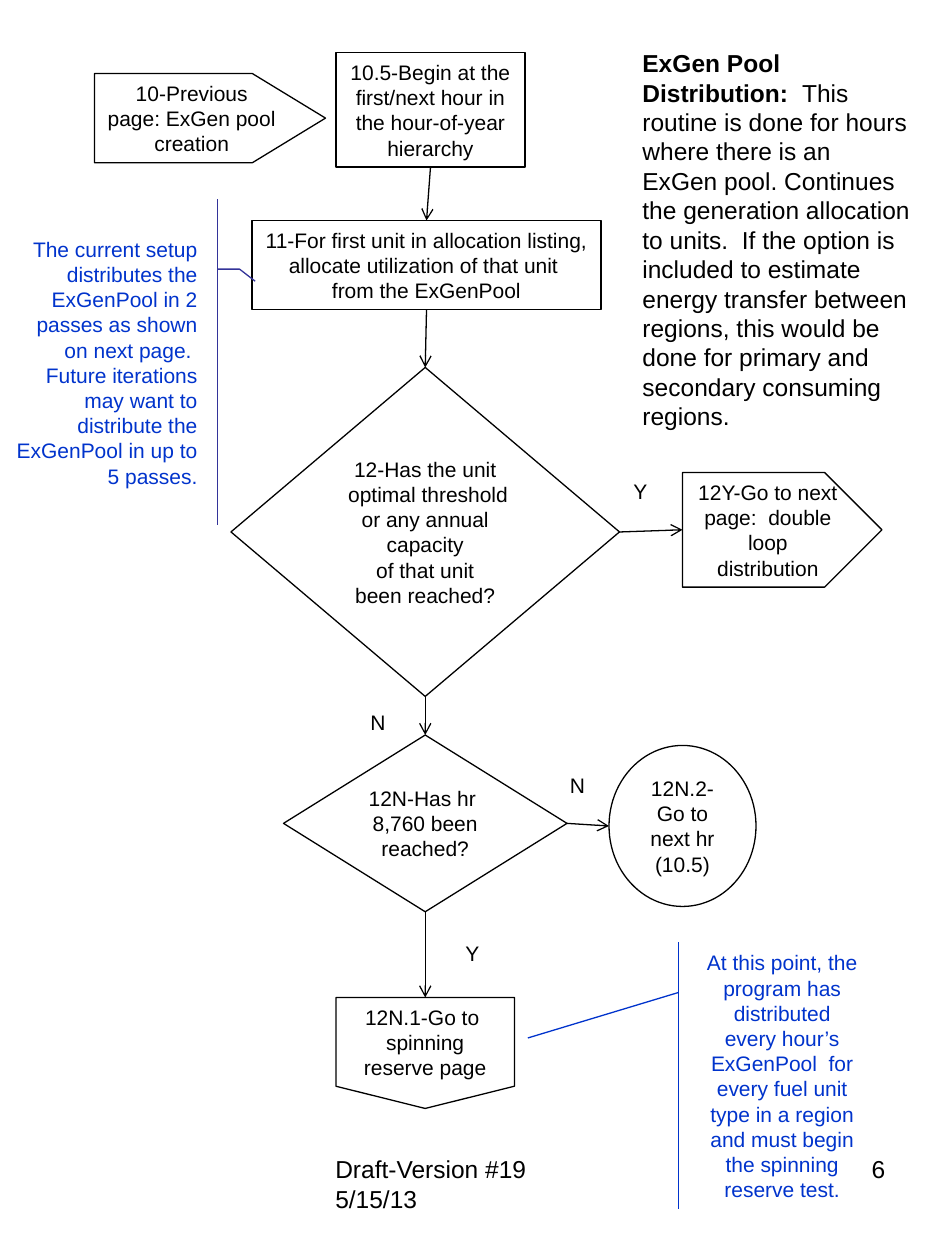
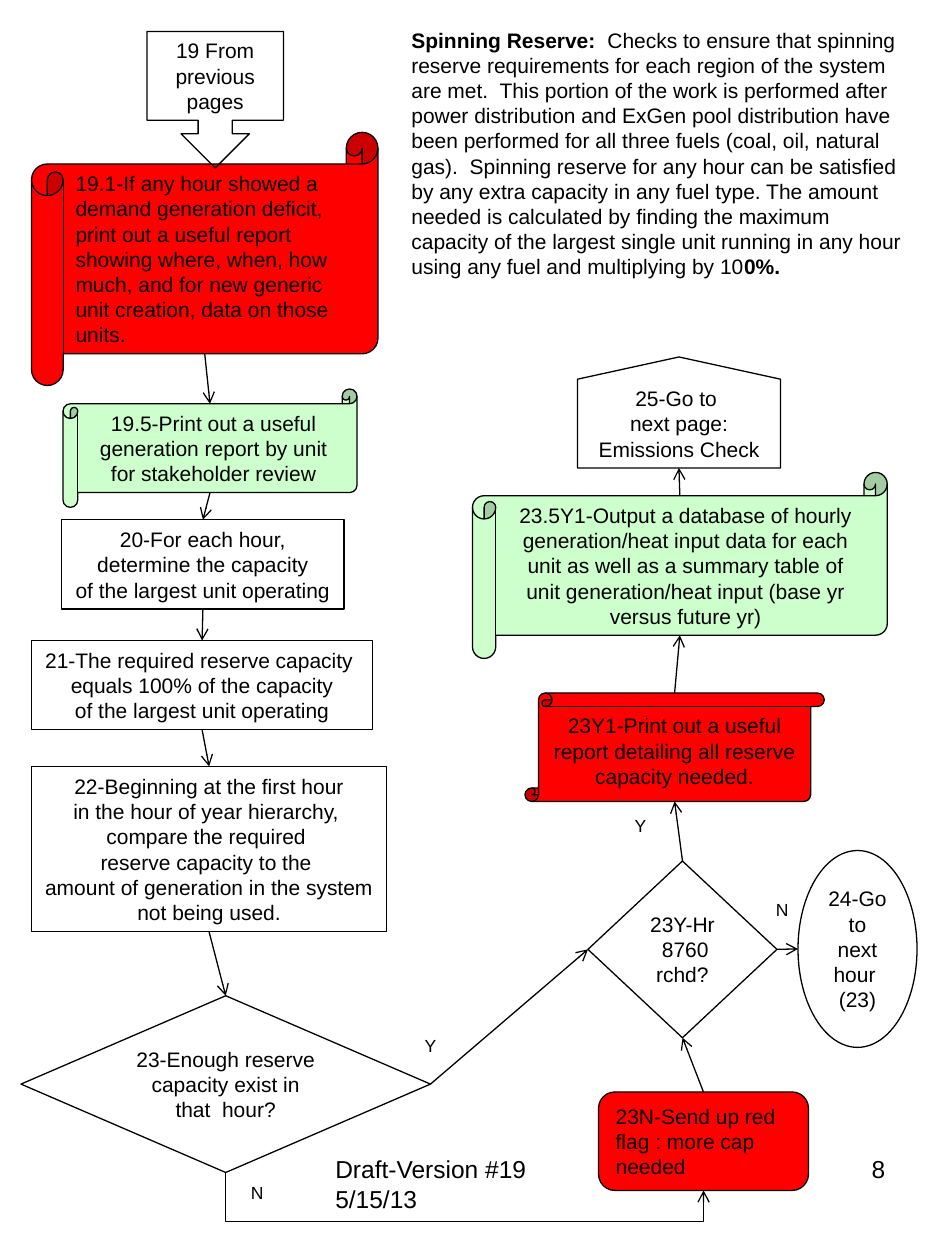
from lxml import etree
from pptx import Presentation
from pptx.dml.color import RGBColor
from pptx.enum.shapes import MSO_CONNECTOR, MSO_SHAPE
from pptx.enum.text import MSO_ANCHOR, MSO_AUTO_SIZE, PP_ALIGN
from pptx.oxml.ns import qn
from pptx.util import Pt

BLACK, BLUE, INDIGO = "000000", "0033CC", "333399"
RED, GREEN = "FF0000", "CCFFCC"
FONT = "Arial"
LEFT, CENTER, RIGHT = PP_ALIGN.LEFT, PP_ALIGN.CENTER, PP_ALIGN.RIGHT
TOP, MIDDLE = MSO_ANCHOR.TOP, MSO_ANCHOR.MIDDLE
GROW, FIXED = MSO_AUTO_SIZE.SHAPE_TO_FIT_TEXT, MSO_AUTO_SIZE.NONE
STRAIGHT, ELBOW = MSO_CONNECTOR.STRAIGHT, MSO_CONNECTOR.ELBOW
PROCESS = MSO_SHAPE.FLOWCHART_PROCESS
DECISION = MSO_SHAPE.FLOWCHART_DECISION
CIRCLE = MSO_SHAPE.FLOWCHART_CONNECTOR
OFFPAGE = MSO_SHAPE.FLOWCHART_OFFPAGE_CONNECTOR
ROUNDED = MSO_SHAPE.FLOWCHART_ALTERNATE_PROCESS
RECTANGLE = MSO_SHAPE.RECTANGLE
ARROW_TAG = MSO_SHAPE.PENTAGON
DOWN_CALLOUT = MSO_SHAPE.DOWN_ARROW_CALLOUT
SCROLL = MSO_SHAPE.HORIZONTAL_SCROLL
TALL_SCROLL = MSO_SHAPE.VERTICAL_SCROLL
BAR_CALLOUT = MSO_SHAPE.LINE_CALLOUT_1_ACCENT_BAR
BENT_CALLOUT = MSO_SHAPE.LINE_CALLOUT_2_ACCENT_BAR
SCROLL_CURL = 0.125


def color(value):
    return RGBColor.from_string(value)


def within(area, box):
    left, top, width, height = box
    return [Pt(n) for n in (area[0] + left, area[1] + top, width, height)]


def write(frame, text, size=12, ink=BLACK, align=CENTER, anchor=MIDDLE, wrap=True, fit=GROW):
    frame.word_wrap = wrap
    frame.auto_size = fit
    frame.vertical_anchor = anchor
    paragraphs = [[(row, None)] for row in text.split("\n")] if isinstance(text, str) else [text]
    for index, spans in enumerate(paragraphs):
        para = frame.add_paragraph() if index else frame.paragraphs[0]
        para.alignment = align
        para.font.name = FONT
        para.font.size = Pt(size)
        para.font.color.rgb = color(ink)
        for words, bold in spans:
            span = para.add_run()
            span.text = words
            span.font.bold = bold


def label(page, area, box, text, size=12, align=CENTER, fit=GROW):
    frame = page.shapes.add_textbox(*within(area, box)).text_frame
    write(frame, text, size, align=align, anchor=TOP, fit=fit)


def node(page, area, kind, box, text, fill=None, line=BLACK, adjust=(), **style):
    shape = page.shapes.add_shape(kind, *within(area, box))
    shape.shadow.inherit = False
    if fill:
        shape.fill.solid()
        shape.fill.fore_color.rgb = color(fill)
    else:
        shape.fill.background()
    shape.line.color.rgb = color(line)
    shape.line.width = Pt(0.75)
    for index, value in enumerate(adjust):
        shape.adjustments[index] = value
    write(shape.text_frame, text, **style)
    return shape


def edge(shape, side):
    curl = 0
    if shape.auto_shape_type == SCROLL:
        curl = int(SCROLL_CURL * min(shape.width, shape.height))
    middle_x = shape.left + shape.width // 2
    middle_y = shape.top + shape.height // 2
    return {
        "top": (middle_x, shape.top + curl),
        "bottom": (middle_x, shape.top + shape.height - curl),
        "left": (shape.left, middle_y),
        "right": (shape.left + shape.width, middle_y),
    }[side]


def arrow(page, kind, start, end):
    connector = page.shapes.add_connector(kind, *start, *end)
    connector.line.color.rgb = color(BLACK)
    connector.line.width = Pt(0.75)
    properties = connector._element.spPr
    etree.SubElement(properties.find(qn("a:ln")), qn("a:tailEnd"), type="arrow")
    etree.SubElement(properties, qn("a:effectLst"))
    return connector


def link(page, first, second, sides=("bottom", "top")):
    arrow(page, STRAIGHT, edge(first, sides[0]), edge(second, sides[1]))


def chain(page, nodes, sides=("bottom", "top")):
    for first, second in zip(nodes, nodes[1:]):
        link(page, first, second, sides)


def loop_under(page, first, second, drop):
    (x1, y1), (x2, y2) = edge(first, "bottom"), edge(second, "bottom")
    middle_x, middle_y = (x1 + x2) // 2, (y1 + y2) // 2
    half_run, half_rise = (x2 - x1) // 2, (y2 - y1) // 2
    connector = arrow(page, ELBOW, (middle_x + half_rise, middle_y - half_run),
                      (middle_x - half_rise, middle_y + half_run))
    properties = connector._element.spPr
    properties.find(qn("a:xfrm")).set("rot", str(270 * 60000))
    guides = properties.find(qn("a:prstGeom")).find(qn("a:avLst"))
    bend = round(Pt(drop) / (y2 - y1) * 100000)
    etree.SubElement(guides, qn("a:gd"), name="adj1", fmla=f"val {bend}")


def footer(page, area, number):
    label(page, area, (0, 0, 171, 50), "Draft-Version #19 5/15/13", 14, LEFT, FIXED)
    label(page, area, (202.5, 0, 126, 50), number, 14, RIGHT, FIXED)


def pool_flow(page, area):
    begin = node(page, area, RECTANGLE, (192, 30, 108, 65.5),
                 "10.5-Begin at the first/next hour in the hour-of-year hierarchy")
    allocate = node(page, area, PROCESS, (144, 126, 199.5, 51),
                    "11-For first unit in allocation listing,\n"
                    "allocate utilization of that unit \nfrom the ExGenPool", wrap=False)
    threshold = node(page, area, DECISION, (132, 210, 222, 188),
                     "12-Has the unit\n optimal threshold \nor any annual capacity\n"
                     " of that unit \nbeen reached?")
    last_hour = node(page, area, DECISION, (162, 420, 162, 101),
                     "12N-Has hr \n8,760 been\nreached?")
    spinning = node(page, area, OFFPAGE, (192, 570, 102, 63.4),
                    "12N.1-Go to \nspinning reserve page")
    next_hour = node(page, area, CIRCLE, (348, 426, 84, 92), "12N.2-Go to next hr (10.5)")
    double_loop = node(page, area, ARROW_TAG, (390, 270, 114, 65.5),
                       "12Y-Go to next page:  double loop distribution")
    node(page, area, ARROW_TAG, (54, 42, 132, 51),
         "10-Previous page: ExGen pool creation", adjust=[0.82])
    chain(page, [begin, allocate, threshold, last_hour, spinning])
    link(page, threshold, double_loop, ("right", "left"))
    link(page, last_hour, next_hour, ("right", "left"))
    for left, top, width, answer in [(204, 402, 24, "N"), (348, 270, 36, "Y"),
                                     (318, 438, 24, "N"), (252, 534, 36, "Y")]:
        label(page, area, (left, top, width, 21.6), answer)


def pool_notes(page, area):
    label(page, area, (360, 24, 168, 227.5), [
        ("ExGen Pool Distribution:  ", True),
        ("This routine is done for hours where there is an ExGen pool. Continues the "
         "generation allocation to units.  If the option is included to estimate energy "
         "transfer between regions, this would be done for primary and secondary "
         "consuming regions.  ", False)], 14, LEFT)
    node(page, area, BENT_CALLOUT, (0, 114, 120, 186),
         "The current setup distributes the ExGenPool in 2 passes as shown on next page.  "
         "Future iterations may want to distribute the ExGenPool in up to 5 passes.",
         line=INDIGO, adjust=[0.214, 1.036, 0.214, 1.141, 0.251, 1.215],
         ink=BLUE, align=RIGHT, fit=FIXED)
    node(page, area, BAR_CALLOUT, (396, 538.5, 102, 152.6),
         "At this point, the program has distributed every hour’s ExGenPool  for every "
         "fuel unit type in a region and must begin the spinning reserve test.",
         line=BLUE, adjust=[0.188, -0.083, 0.358, -0.925], ink=BLUE)


def requirement_column(page, area):
    deficit = node(page, area, SCROLL, (18, 75.6, 198, 144.7),
                   "19.1-If any hour showed a demand generation deficit, print out a useful "
                   "report showing where, when, how much, and for new generic unit creation, "
                   "data on those units.", RED, adjust=[SCROLL_CURL], align=LEFT)
    report = node(page, area, SCROLL, (36, 222.3, 168, 67.7),
                  "19.5-Print out a useful generation report by unit for stakeholder review",
                  GREEN, adjust=[SCROLL_CURL])
    largest = node(page, area, PROCESS, (35.3, 297, 161.3, 51),
                   "20-For each hour,\ndetermine the capacity\nof the largest unit operating",
                   wrap=False)
    required = node(page, area, PROCESS, (18, 366, 195, 51),
                    "21-The required reserve capacity \nequals 100% of the capacity\n"
                    "of the largest unit operating", wrap=False)
    compare = node(page, area, PROCESS, (18, 438, 203, 94.5),
                   "22-Beginning at the first hour\nin the hour of year hierarchy, \n"
                   "compare the required \nreserve capacity to the \n"
                   "amount of generation in the system\nnot being used.", wrap=False)
    enough = node(page, area, DECISION, (12, 569, 234, 101),
                  "23-Enough reserve \ncapacity exist in that  hour?")
    node(page, area, DOWN_CALLOUT, (84, 18, 78, 78), "19 From previous pages")
    chain(page, [deficit, report, largest, required, compare, enough])
    label(page, area, (228, 588, 36, 19.2), "Y", 10)
    label(page, area, (132, 672, 30, 19.2), "N", 10)
    return enough


def report_column(page, area):
    emissions = node(page, area, OFFPAGE, (60, 204, 116, 63.4),
                     "25-Go to \nnext page: Emissions Check")
    emissions.rotation = 180
    emissions.text_frame._txBody.bodyPr.set("rot", str(180 * 60000))
    flag = node(page, area, ROUNDED, (72, 624, 120, 56.3),
                "23N-Send up red flag : more cap needed", RED, align=LEFT)
    needed = node(page, area, TALL_SCROLL, (30, 396, 171, 62),
                  "23Y1-Print out a useful report detailing all reserve capacity needed.",
                  RED, adjust=[SCROLL_CURL])
    database = node(page, area, SCROLL, (0, 270, 237, 106.3),
                    "23.5Y1-Output a database of hourly generation/heat input data for each "
                    "unit as well as a summary table of unit generation/heat input (base yr "
                    "versus future yr)", GREEN, adjust=[SCROLL_CURL])
    last_hour = node(page, area, DECISION, (66, 492, 108, 101), "23Y-Hr  8760 rchd?")
    next_hour = node(page, area, CIRCLE, (186, 486, 68, 112.5),
                     "24-Go\n to \nnext\nhour \n(23)", wrap=False)
    chain(page, [flag, last_hour, needed, database, emissions], ("top", "bottom"))
    link(page, last_hour, next_hour, ("right", "left"))
    label(page, area, (162, 510, 30, 19.2), "N", 10)
    label(page, area, (78, 462, 36, 19.2), "Y", 10)
    return last_hour, flag


def reserve_summary(page, area):
    label(page, area, (0, 0, 300, 152.6), [
        ("Spinning Reserve:  ", True),
        ("Checks to ensure that spinning reserve requirements for each region of the system "
         "are met.  This portion of the work is performed after power distribution and ExGen "
         "pool distribution have been performed for all three fuels (coal, oil, natural gas).  "
         "Spinning reserve for any hour can be satisfied by any extra capacity in any fuel "
         "type. The amount needed is calculated by finding the maximum capacity of the "
         "largest single unit running in any hour using any fuel and multiplying by 10", False),
        ("0%.", True)], align=LEFT)


def pool_page(page, area):
    pool_flow(page, area)
    pool_notes(page, area)


def reserve_page(page, area):
    reserve_summary(page, (area[0] + 228, area[1] + 12))
    enough = requirement_column(page, area)
    last_hour, flag = report_column(page, (area[0] + 270, area[1]))
    link(page, enough, last_hour, ("right", "left"))
    loop_under(page, enough, flag, 28)


deck = Presentation()
deck.slide_width, deck.slide_height = Pt(540), Pt(720)
for build, number in [(pool_page, "6"), (reserve_page, "8")]:
    page = deck.slides.add_slide(deck.slide_layouts[6])
    footer(page, (184.5, 656), number)
    build(page, (0, 0))
deck.save("out.pptx")
